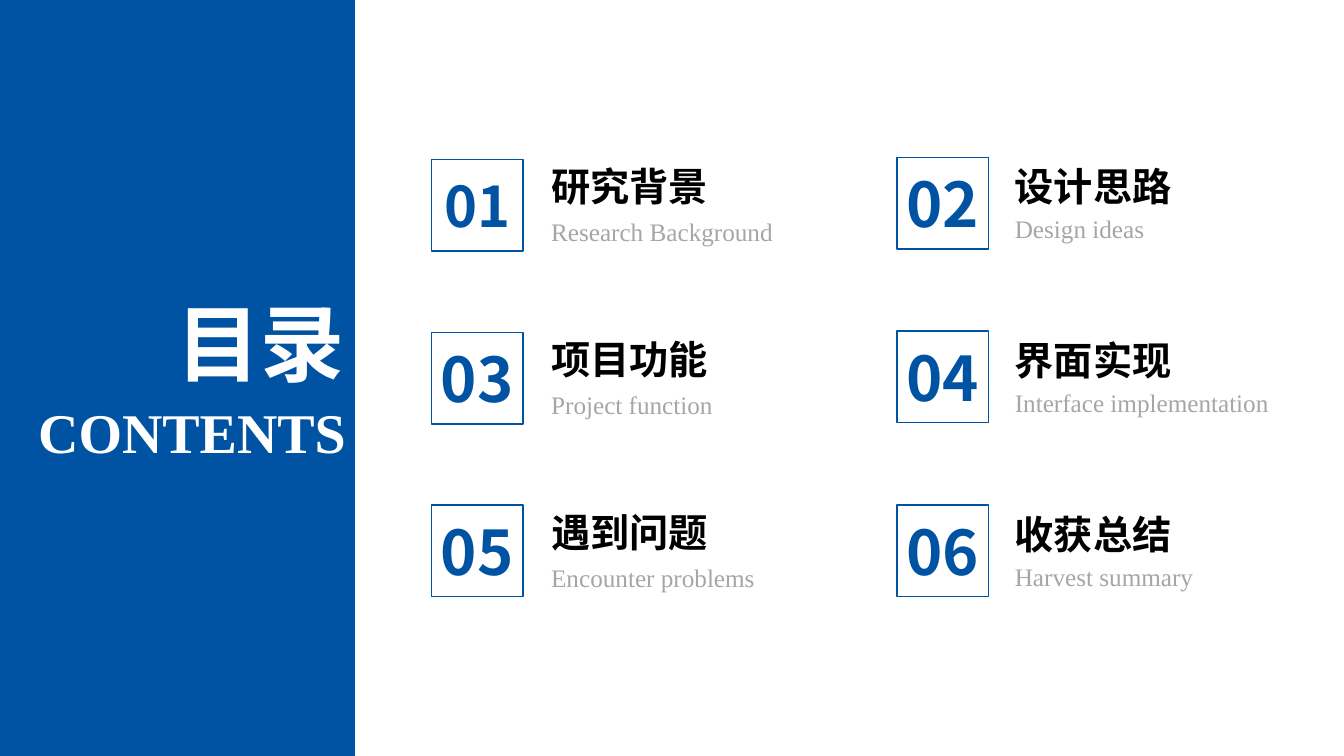
import pptx
import pptx.util
import pptx.dml.color
import pptx.enum.shapes
import pptx.enum.text
import pptx.oxml.ns
import lxml.etree

Pt = pptx.util.Pt
ALIGN = pptx.enum.text.PP_ALIGN
BLUE = pptx.dml.color.RGBColor(0x00, 0x53, 0xA3)
WHITE = pptx.dml.color.RGBColor(0xFF, 0xFF, 0xFF)
BLACK = pptx.dml.color.RGBColor(0x00, 0x00, 0x00)
GREY = pptx.dml.color.RGBColor(0xA6, 0xA6, 0xA6)
SANS, SERIF = "Noto Sans CJK SC", "Times New Roman"

# number, number size, heading, subtitle; read across, then down
ENTRIES = [
    ("01", 40, "研究背景", "Research Background"),
    ("02", 44, "设计思路", "Design ideas"),
    ("03", 44, "项目功能", "Project function"),
    ("04", 44, "界面实现", "Interface implementation"),
    ("05", 44, "遇到问题", "Encounter problems"),
    ("06", 44, "收获总结", "Harvest summary"),
]
# per column: box left, text left, first top, row pitch, heading and subtitle offsets
COLUMNS = [
    (308.2, 386.6, 113.8, 123.5, -1.3, 37.3),
    (640.8, 717.8, 112.3, 124.2, 0, 36.7),
]
BOX = 65.5
PANEL_W = 253.5


def write(s, text, size, font, color, bold=False, align=ALIGN.LEFT, inset=7.2):
    """Put one formatted line of text into a shape, centred vertically."""
    tf = s.text_frame
    tf.text = text
    tf.word_wrap = True
    tf.auto_size = pptx.enum.text.MSO_AUTO_SIZE.NONE
    tf.vertical_anchor = pptx.enum.text.MSO_ANCHOR.MIDDLE
    tf.margin_left = tf.margin_right = Pt(inset)
    tf.margin_top = tf.margin_bottom = 0
    p = tf.paragraphs[0]
    p.alignment = align
    r = p.runs[0]
    r.font.size, r.font.bold, r.font.name = Pt(size), bold, font
    r.font.color.rgb = color
    ea = lxml.etree.SubElement(r.font._element, pptx.oxml.ns.qn("a:ea"))
    ea.set("typeface", font)


def add_text(slide, x, y, w, h, *args, **kwargs):
    """Add a text box holding one formatted line."""
    write(slide.shapes.add_textbox(Pt(x), Pt(y), Pt(w), Pt(h)), *args, **kwargs)


def add_rect(slide, x, y, w, h, fill=None, line=None):
    """Add a flat rectangle with an optional fill and outline."""
    s = slide.shapes.add_shape(pptx.enum.shapes.MSO_SHAPE.RECTANGLE,
                               Pt(x), Pt(y), Pt(w), Pt(h))
    s.shadow.inherit = False
    if fill is None:
        s.fill.background()
    else:
        s.fill.solid()
        s.fill.fore_color.rgb = fill
    if line is None:
        s.line.fill.background()
    else:
        s.line.color.rgb = line
        s.line.width = Pt(1)
    return s


def add_entry(slide, index, number, number_size, heading, subtitle):
    """Place one contents entry in the two-column grid."""
    row, col = divmod(index, len(COLUMNS))
    box_x, text_x, first, pitch, heading_dy, subtitle_dy = COLUMNS[col]
    y = first + row * pitch
    box = add_rect(slide, box_x, y, BOX, BOX, line=BLUE)
    write(box, number, number_size, SANS, BLUE, True, ALIGN.CENTER, inset=0)
    add_text(slide, text_x, y + heading_dy, 188.6, 41, heading, 28, SANS, BLACK, True)
    add_text(slide, text_x, y + subtitle_dy, 228, 29, subtitle, 18, SERIF, GREY)


prs = pptx.Presentation()
prs.slide_width, prs.slide_height = Pt(960), Pt(540)
slide = prs.slides.add_slide(prs.slide_layouts[5])

panel = add_rect(slide, 0, 0, PANEL_W, 540, fill=BLUE)
title = slide.shapes.title
title._element.addprevious(panel._element)
title.left, title.top, title.width, title.height = Pt(70.6), Pt(204.5), Pt(182.9), Pt(80)
write(title, "目录", 60, SANS, WHITE, True, ALIGN.RIGHT)
add_text(slide, 0, 280, 254.2, 55.4, "CONTENTS", 40, SERIF, WHITE, True, ALIGN.RIGHT)

for index, entry in enumerate(ENTRIES):
    add_entry(slide, index, *entry)

prs.save("out.pptx")
